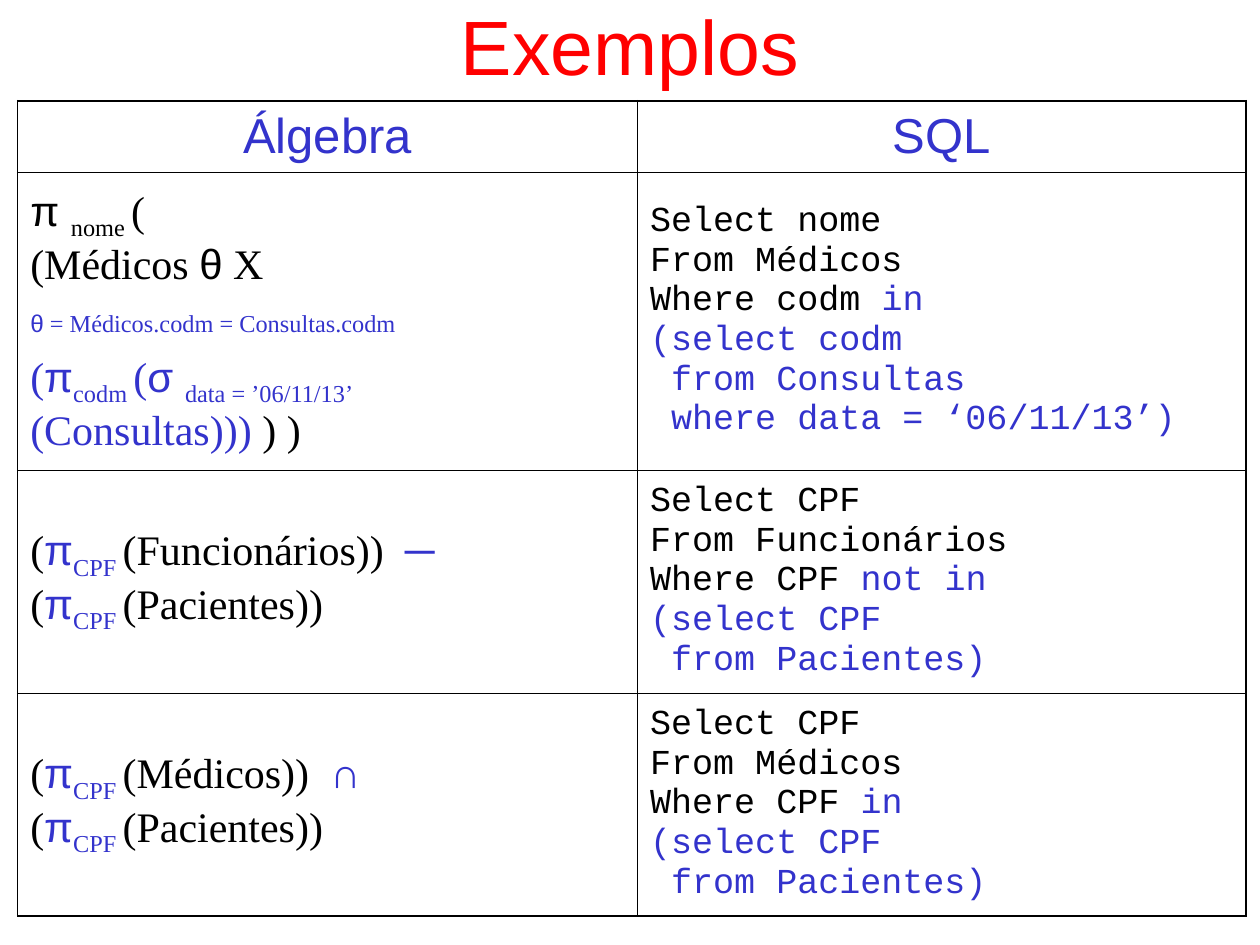
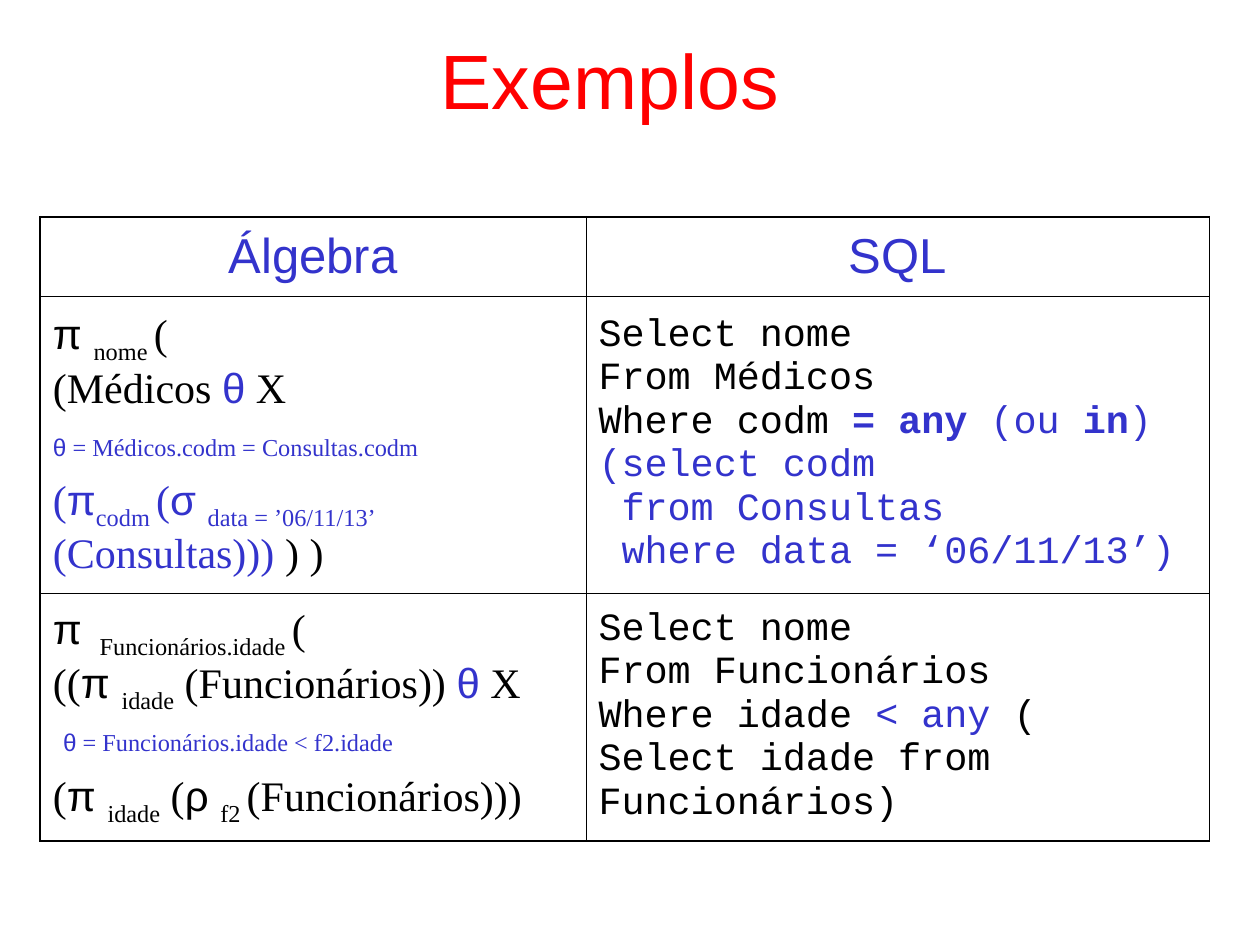
"""Builds two slides that compare relational algebra with SQL."""
import dataclasses

import lxml.etree
import pptx
import pptx.dml.color
import pptx.enum.text
import pptx.oxml.ns
import pptx.util

Inches = pptx.util.Inches
Pt = pptx.util.Pt
RGB = pptx.dml.color.RGBColor
ALIGN = pptx.enum.text.PP_ALIGN
MIDDLE = pptx.enum.text.MSO_ANCHOR.MIDDLE


@dataclasses.dataclass(frozen=True)
class Theme:
    """Colours, fonts, type sizes and line widths."""
    red: str = "FF0000"
    blue: str = "3333CC"
    black: str = "000000"
    sans: str = "Arial"
    serif: str = "Times New Roman"
    mono: str = "Courier New"
    title: int = 44
    header: int = 28
    algebra: int = 24
    outer: float = 1.08
    inner: float = 0.45


T = Theme()
STYLES = {
    "plain": {},
    "greek": {"name": T.sans},
    "sub": {"baseline": -25},
    "blue": {"color": T.blue},
    "blue greek": {"color": T.blue, "name": T.sans},
    "blue sub": {"color": T.blue, "baseline": -25},
    "blue super": {"color": T.blue, "baseline": 30},
    "blue greek super": {"color": T.blue, "name": T.sans, "baseline": 30},
    "blue bold": {"color": T.blue, "bold": True},
}


@dataclasses.dataclass
class Line:
    """One paragraph, given as (text, style) runs."""
    runs: list
    before: float = 0
    indent: float = 0


@dataclasses.dataclass
class Content:
    """The lines of one cell with their common format."""
    lines: list
    name: str
    size: int
    color: str = T.black
    align: int = ALIGN.LEFT


def add_run(p, text, **fmt):
    """Append a run and apply its format values."""
    r = p.add_run()
    r.text = text
    r.font.color.rgb = RGB.from_string(fmt.pop("color"))
    baseline = fmt.pop("baseline", 0)
    if baseline:
        r.font._element.set("baseline", str(baseline * 1000))
    fmt["size"] = Pt(fmt["size"])
    for key, value in fmt.items():
        setattr(r.font, key, value)


def write(tf, content):
    """Write the lines of a content into a text frame."""
    tf.word_wrap = True
    for i, line in enumerate(content.lines):
        p = tf.add_paragraph() if i else tf.paragraphs[0]
        p.alignment = content.align
        if line.before:
            p.space_before = Pt(line.before)
        if line.indent:
            p._p.get_or_add_pPr().set("marL", str(Inches(line.indent)))
        base = {"name": content.name, "size": content.size, "color": content.color}
        for text, style in line.runs:
            add_run(p, text, **{**base, **STYLES[style]})


def heading(text, size=T.header, color=T.blue):
    """Return a centred single-line heading."""
    return Content([Line([(text, "plain")])], T.sans, size, color, ALIGN.CENTER)


def algebra(*lines):
    """Return an algebra expression."""
    return Content(list(lines), T.serif, T.algebra)


def sql(size, *lines):
    """Return a query; a line is black text or a list of runs."""
    runs = [[(x, "plain")] if isinstance(x, str) else x for x in lines]
    return Content([Line(x) for x in runs], T.mono, size)


def add_title(s, left, width, height):
    """Add the slide title."""
    sp = s.shapes.add_textbox(Inches(left), 0, Inches(width), Inches(height))
    tf = sp.text_frame
    tf.margin_top = tf.margin_bottom = 0
    tf.vertical_anchor = MIDDLE
    write(tf, heading("Exemplos", T.title, T.red))


def set_border(cell, side, width):
    """Draw one side of a cell."""
    tag = pptx.oxml.ns.qn
    tc_pr = cell._tc.get_or_add_tcPr()
    ln = lxml.etree.SubElement(tc_pr, tag("a:ln" + side), w=str(Pt(width)))
    fill = lxml.etree.SubElement(ln, tag("a:solidFill"))
    lxml.etree.SubElement(fill, tag("a:srgbClr"), val=T.black)


def add_comparison(s, left, top, widths, heights, rows):
    """Add the two-column table under its header row."""
    rows = [(heading("Álgebra"), heading("SQL")), *rows]
    frame = s.shapes.add_table(len(rows), len(widths), Inches(left), Inches(top),
                               Inches(sum(widths)), Inches(sum(heights)))
    table = frame.table
    table.first_row = table.horz_banding = False
    for column, width in zip(table.columns, widths):
        column.width = Inches(width)
    for row, height in zip(table.rows, heights):
        row.height = Inches(height)
    for i, row in enumerate(rows):
        for j, content in enumerate(row):
            cell = table.cell(i, j)
            cell.vertical_anchor = MIDDLE
            edges = {"L": j == 0, "R": j == len(widths) - 1,
                     "T": i == 0, "B": i == len(rows) - 1}
            for side, is_outer in edges.items():
                set_border(cell, side, T.outer if is_outer else T.inner)
            cell.fill.background()
            write(cell.text_frame, content)


def doctors_algebra(theta_style):
    """Return the join of doctors with the appointments of one day."""
    return algebra(
        Line([("π ", "greek"), ("nome ", "sub"), ("(", "plain")]),
        Line([("(Médicos ", "plain"), ("θ", theta_style), (" X", "plain")]),
        Line([("θ", "blue greek super"),
              (" = Médicos.codm = Consultas.codm", "blue super")], before=10.5),
        Line([("(", "blue"), ("π", "blue greek"), ("codm ", "blue sub"),
              ("(", "blue"), ("σ ", "blue greek"),
              ("data = ’06/11/13’", "blue sub"),
              (" (Consultas)))", "blue"), (" ) )", "plain")]))


def doctors_sql(size, *condition):
    """Return the query on doctors with the given condition."""
    subquery = ("(select codm", " from Consultas", " where data = ‘06/11/13’)")
    return sql(size, "Select nome", "From Médicos",
               [("Where codm ", "plain"), *condition],
               *[[(x, "blue")] for x in subquery])


def cpf_row(source, operator, keyword):
    """Return the algebra and SQL that combine a source with the patients."""
    def projection(relation):
        return [("(", "plain"), ("π", "blue greek"), ("CPF ", "blue sub"),
                (f"({relation}))", "plain")]

    return (algebra(Line(projection(source) + [("  ", "plain"), (operator, "blue greek")]),
                    Line(projection("Pacientes"))),
            sql(20, "Select CPF", f"From {source}",
                [("Where CPF ", "plain"), (keyword, "blue")],
                [("(select CPF", "blue")], [(" from Pacientes)", "blue")]))


def age_row():
    """Return the algebra and SQL that compare the ages of employees."""
    return (algebra(
        Line([("π ", "greek"), (" Funcionários.idade ", "sub"), ("(", "plain")]),
        Line([("((", "plain"), ("π ", "greek"), ("idade", "sub"),
              (" (Funcionários)) ", "plain"), ("θ", "blue greek"), (" X", "plain")]),
        Line([("θ", "blue greek super"),
              (" = Funcionários.idade < f2.idade", "blue super")],
             before=7, indent=0.08),
        Line([("(", "plain"), ("π ", "greek"), ("idade", "sub"), (" (", "plain"),
              ("ρ ", "greek"), ("f2 ", "sub"), ("(Funcionários)))", "plain")])),
        sql(22, "Select nome", "From Funcionários",
            [("Where idade ", "plain"), ("< any", "blue"), (" (", "plain")],
            "Select idade from Funcionários)"))


def main():
    """Build and save the slides."""
    prs = pptx.Presentation()
    prs.slide_width, prs.slide_height = Inches(10), Inches(7.5)
    blank = prs.slide_layouts[6]

    s = prs.slides.add_slide(blank)
    add_title(s, 0, 10, 0.71)
    add_comparison(s, 0.14, 0.8, [4.92, 4.83], [0.57, 2.36, 1.77, 1.77], [
        (doctors_algebra("greek"), doctors_sql(20, ("in", "blue"))),
        cpf_row("Funcionários", "─", "not in"),
        cpf_row("Médicos", "∩", "in")])

    s = prs.slides.add_slide(blank)
    add_title(s, 0.59, 8.5, 1.25)
    add_comparison(s, 0.32, 1.72, [4.33, 4.95], [0.63, 2.36, 1.94], [
        (doctors_algebra("blue greek"),
         doctors_sql(22, ("= any", "blue bold"), (" (ou ", "blue"),
                     ("in", "blue bold"), (")", "blue"))),
        age_row()])

    prs.save("out.pptx")


if __name__ == "__main__":
    main()
